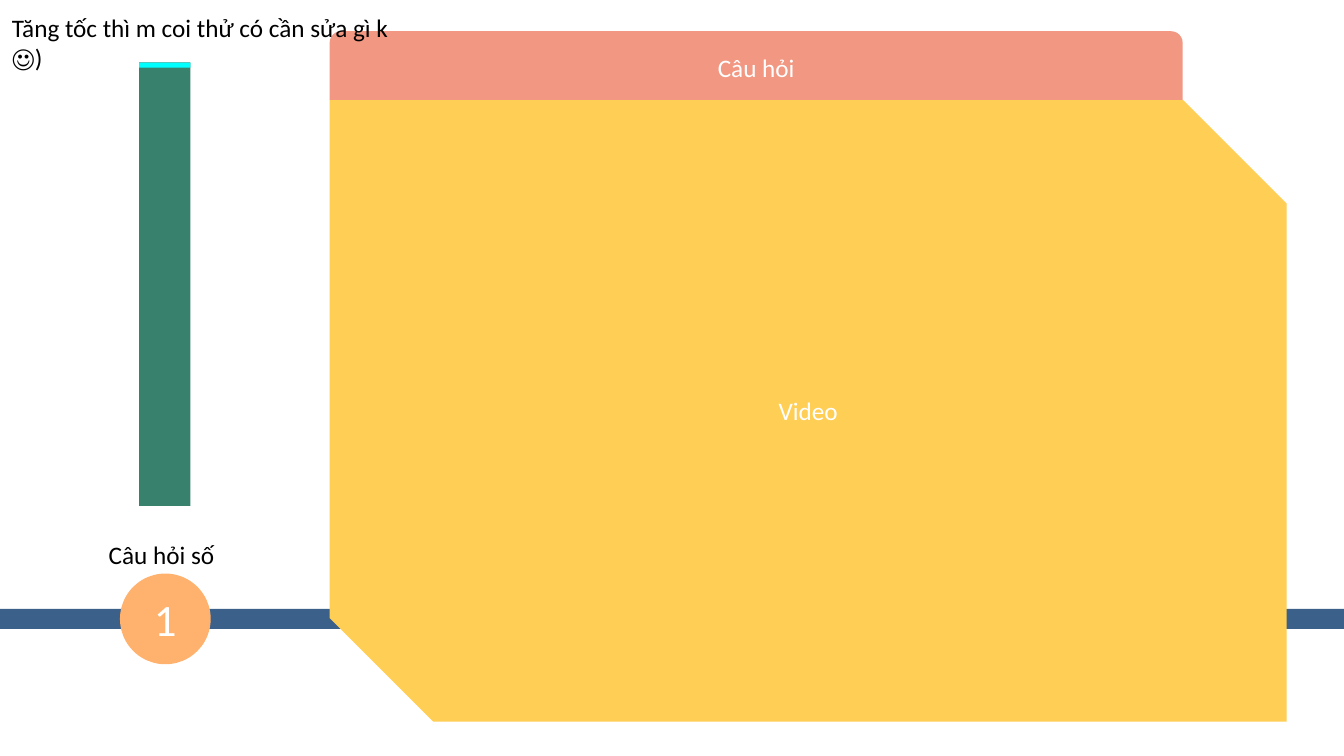
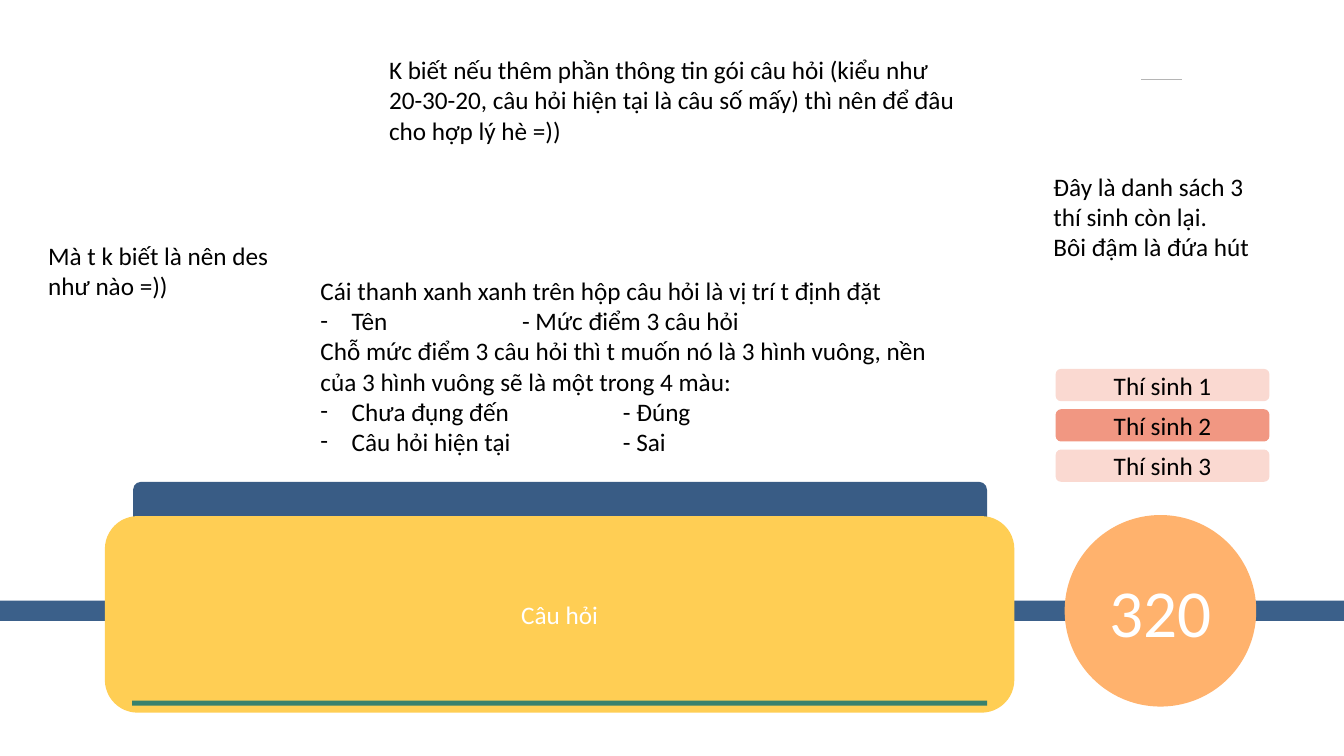
from dataclasses import dataclass

from lxml import etree
from pptx import Presentation
from pptx import util as u
from pptx.dml.color import RGBColor
from pptx.enum import shapes, text
from pptx.oxml.ns import qn

W, H = 13.33, 7.5
MS = shapes.MSO_SHAPE


@dataclass(frozen=True)
class Theme:
    font: str = "Calibri"
    body: int = 18
    number: int = 32
    score: int = 48
    navy: str = "3B608A"
    header: str = "395C85"
    yellow: str = "FFCE54"
    orange: str = "FFB26D"
    teal: str = "38816D"
    cyan: str = "00FFFF"
    coral: str = "F19782"
    blush: str = "FAD9D1"
    rule: str = "B5B5B5"
    white: str = "FFFFFF"
    black: str = "000000"


T = Theme()

TIMER = (1.38, 0.62, 0.51)
TIMER_LENGTH = 4.4
TIMER_STEP = 0.05

SPEED_NOTES = [
    ((0.02, 0.07, 4.24, 0.71), ["Tăng tốc thì m coi thử có cần sửa gì k ☺)"]),
    ((0.98, 5.3, 2.6, 0.4), ["Câu hỏi số"]),
]
FINISH_NOTES = [
    ((3.76, 0.49, 5.82, 1.01), [
        "K biết nếu thêm phần thông tin gói câu hỏi (kiểu như 20-30-20, "
        "câu hỏi hiện tại là câu số mấy) thì nên để đâu cho hợp lý hè =))"]),
    ((10.35, 1.65, 2.24, 1.01), [
        "Đây là danh sách 3 thí sinh còn lại.",
        "Bôi đậm là đứa hút"]),
    ((3.08, 2.68, 6.32, 1.92), [
        "Cái thanh xanh xanh trên hộp câu hỏi là vị trí t định đặt",
        ("-", "Tên\t\t\t- Mức điểm 3 câu hỏi"),
        "Chỗ mức điểm 3 câu hỏi thì t muốn nó là 3 hình vuông, nền của "
        "3 hình vuông sẽ là một trong 4 màu:",
        ("-", "Chưa đụng đến\t\t\t- Đúng"),
        ("-", "Câu hỏi hiện tại\t\t\t- Sai")]),
    ((0.38, 2.33, 2.43, 0.71), ["Mà t k biết là nên des như nào =))"]),
]
CONTESTANTS = ["Thí sinh 1", "Thí sinh 2", "Thí sinh 3"]
BUZZED = "Thí sinh 2"


def inches(box):
    return [u.Inches(v) for v in box]


def rgb(color):
    return RGBColor.from_string(color)


def add_run(p, words, size, color):
    r = p.add_run()
    r.text = words
    r.font.name = T.font
    r.font.size = u.Pt(size)
    r.font.color.rgb = rgb(color)


def add_box(s, kind, box, fill, label="", size=T.body, color=T.white):
    sp = s.shapes.add_shape(kind, *inches(box))
    sp.shadow.inherit = False
    sp.fill.solid()
    sp.fill.fore_color.rgb = rgb(fill)
    sp.line.fill.background()
    if label:
        tf = sp.text_frame
        tf.vertical_anchor = text.MSO_ANCHOR.MIDDLE
        p = tf.paragraphs[0]
        p.alignment = text.PP_ALIGN.CENTER
        add_run(p, label, size, color)


def add_bullet(p, mark):
    pPr = p._p.get_or_add_pPr()
    pPr.set("marL", str(u.Inches(0.31)))
    pPr.set("indent", str(-u.Inches(0.31)))
    etree.SubElement(pPr, qn("a:buFont"), typeface=T.font)
    etree.SubElement(pPr, qn("a:buChar"), char=mark)


def add_note(s, box, lines):
    tf = s.shapes.add_textbox(*inches(box)).text_frame
    tf.word_wrap = True
    for i, line in enumerate(lines):
        p = tf.add_paragraph() if i else tf.paragraphs[0]
        if isinstance(line, tuple):
            mark, line = line
            add_bullet(p, mark)
        add_run(p, line, T.body, T.black)


def add_rule(s, left, top, width):
    cx = s.shapes.add_connector(
        shapes.MSO_CONNECTOR.STRAIGHT, *inches((left, top, left + width, top)))
    cx.line.color.rgb = rgb(T.rule)
    cx.line.width = u.Pt(0.5)
    etree.SubElement(cx._element.spPr, qn("a:effectLst"))


def add_band(s, top):
    add_box(s, MS.RECTANGLE, (0, top, W, 0.2), T.navy)


def add_notes(s, notes):
    for box, lines in notes:
        add_note(s, box, lines)


def build_speed_round(s):
    add_band(s, 6.04)
    add_box(s, MS.SNIP_2_DIAG_RECTANGLE, (3.27, 0.99, 9.49, 6.17), T.yellow, "Video")
    add_box(s, MS.OVAL, (1.19, 5.69, 0.9, 0.9), T.orange, "1", T.number)
    for length, color in ((TIMER_LENGTH, T.teal), (TIMER_STEP, T.cyan)):
        add_box(s, MS.RECTANGLE, (*TIMER, length), color)
    add_box(s, MS.ROUND_2_SAME_RECTANGLE, (3.27, 0.31, 8.46, 0.68), T.coral, "Câu hỏi")
    add_notes(s, SPEED_NOTES)


def build_finish_round(s):
    add_box(s, MS.ROUNDED_RECTANGLE, (1.32, 4.78, 8.47, 0.48), T.header)
    add_band(s, 5.96)
    add_box(s, MS.ROUNDED_RECTANGLE, (1.04, 5.12, 9.02, 1.95), T.yellow, "Câu hỏi")
    add_box(s, MS.RECTANGLE, (1.31, 6.95, 8.48, 0.05), T.teal)
    add_rule(s, 11.32, 0.79, 0.4)
    add_box(s, MS.OVAL, (10.56, 5.11, 1.9, 1.9), T.orange, "320", T.score)
    for i, name in enumerate(CONTESTANTS):
        fill = T.coral if name == BUZZED else T.blush
        add_box(s, MS.ROUNDED_RECTANGLE, (10.47, 3.66 + 0.4 * i, 2.12, 0.32),
                fill, name, color=T.black)
    add_notes(s, FINISH_NOTES)


def main():
    prs = Presentation()
    prs.slide_width, prs.slide_height = inches((W, H))
    for build in (build_speed_round, build_finish_round):
        build(prs.slides.add_slide(prs.slide_layouts[6]))
    prs.save("out.pptx")


if __name__ == "__main__":
    main()
